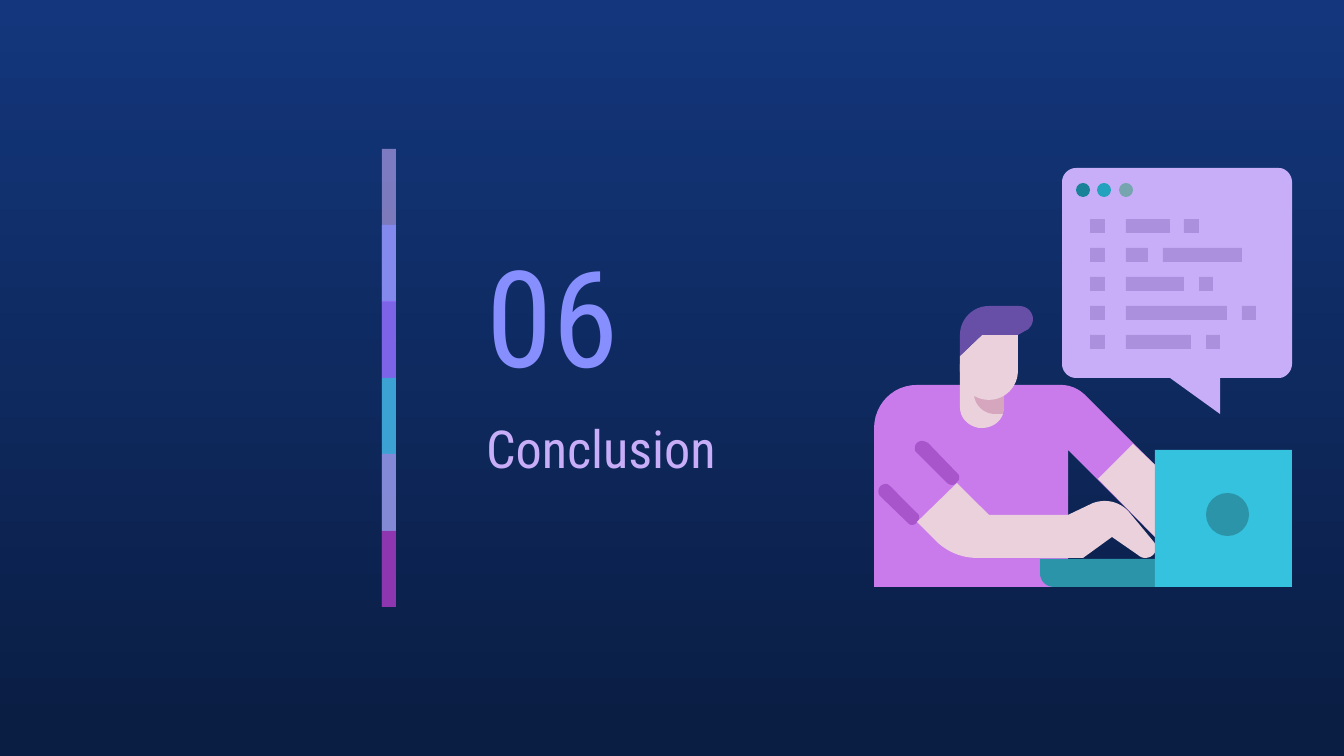
"""Build the closing section slide: number, title, colour bar and a coder at work."""
from lxml.etree import SubElement
from pptx import Presentation
from pptx.dml.color import RGBColor as RGB
from pptx.enum.shapes import MSO_SHAPE as Kind
from pptx.enum.text import MSO_ANCHOR as Anchor
from pptx.oxml.ns import qn
from pptx.util import Pt

PX = 914400 / 134.4
SKIN, SHIRT, FOLD, LILAC = "EAD1DC", "CA7BEB", "A855CB", "C8AEF8"


def paint(shape, color, alpha=100):
    shape.shadow.inherit = False
    shape.line.fill.background()
    shape.fill.solid()
    shape.fill.fore_color.rgb = RGB.from_string(color)
    if alpha < 100:
        node = shape.fill._xPr.find(".//" + qn("a:srgbClr"))
        SubElement(node, qn("a:alpha")).set("val", str(alpha * 1000))


def trace(shapes, steps, color):
    dots = [steps[0]]
    for step in steps[1:]:
        if len(step) == 2:
            dots.append(step)
            continue
        a, b, c, d = dots[-1], step[:2], step[2:4], step[4:]
        for t in [n / 12 for n in range(1, 13)]:
            u = 1 - t
            dots.append([u**3 * a[k] + 3 * u * u * t * b[k] + 3 * u * t * t * c[k] + t**3 * d[k]
                         for k in (0, 1)])
    dots = [(x * PX, y * PX) for x, y in dots]
    pen = shapes.build_freeform(*dots[0])
    pen.add_line_segments(dots[1:], close=True)
    paint(pen.convert_to_shape(), color)


deck = Presentation()
deck.slide_width, deck.slide_height = round(1344 * PX), round(756 * PX)
slide = deck.slides.add_slide(deck.slide_layouts[6])

back = slide.background.fill
back.gradient()
back.gradient_angle = 270
for stop, color, place in zip(back.gradient_stops, ("13367C", "0A1D42"), (0, 1)):
    stop.color.rgb = RGB.from_string(color)
    stop.position = place

texts = [
    ("06", (473, 223, 235, 181), 72, "878FFF", Anchor.MIDDLE),
    ("Conclusion", (473, 403, 386, 116), 28, LILAC, Anchor.TOP),
]
for words, area, size, color, anchor in texts:
    frame = slide.shapes.add_textbox(*[round(v * PX) for v in area]).text_frame
    inset = round(13 * PX)
    layout = {"word_wrap": True, "vertical_anchor": anchor, "margin_left": inset,
              "margin_right": inset, "margin_top": inset, "margin_bottom": inset}
    for key, value in layout.items():
        setattr(frame, key, value)
    run = frame.paragraphs[0].add_run()
    run.text = words
    for key, value in {"name": "Roboto Condensed", "size": Pt(size)}.items():
        setattr(run.font, key, value)
    run.font.color.rgb = RGB.from_string(color)

bar = slide.shapes.add_group_shape().shapes
bands = [(LILAC, 59), ("878FFF", 74), ("9154F8", 53), ("35C2DF", 76), (SHIRT, 56), ("972CB4", 74)]
for i, (color, alpha) in enumerate(bands):
    top = 149 + i * 382 // 5
    area = (382, top, 14, min(153, 607 - top))
    paint(bar.add_shape(Kind.RECTANGLE, *[round(v * PX) for v in area]), color, alpha)

art = slide.shapes.add_group_shape().shapes
body = [(917, 385), (893, 385, 874, 404, 874, 429), (874, 587), (1068, 587), (1068, 450),
        (1155, 537), (1155, 465), (1086, 396), (1079, 389, 1071, 385, 1060, 385)]
cuff = [(886, 484), (884, 484, 881, 485, 880, 487), (878, 489, 878, 494, 880, 496), (907, 522),
        (909, 524, 910, 525, 912, 525), (914, 525, 916, 524, 917, 522),
        (920, 520, 920, 515, 917, 513), (891, 487), (889, 485, 888, 484, 886, 484)]
crease = [(922, 441), (920, 441, 918, 442, 917, 443), (914, 446, 914, 451, 917, 453), (946, 482),
          (948, 484, 950, 485, 952, 485), (954, 485, 956, 484, 957, 482),
          (960, 480, 960, 475, 957, 473), (928, 443), (926, 442, 924, 441, 922, 441)]
base = [(1040, 559), (1040, 573), (1040, 581, 1046, 587, 1054, 587), (1155, 587), (1155, 559)]
neck = [(960, 364), (960, 407), (960, 418, 968, 426, 979, 428), (982, 428),
        (991, 428, 1000, 423, 1003, 414), (1003, 412, 1004, 409, 1004, 407), (1004, 364)]
shade = [(974, 364), (974, 393), (974, 405, 984, 414, 995, 414), (1003, 414),
         (1003, 412, 1004, 409, 1004, 407), (1004, 364)]
hand = [(957, 483), (917, 522), (936, 541), (947, 552, 962, 558, 977, 558), (1083, 558),
        (1112, 537), (1138, 555), (1140, 557, 1143, 558, 1145, 558),
        (1151, 558, 1156, 554, 1156, 548), (1156, 546, 1155, 543, 1153, 541), (1129, 512),
        (1123, 505, 1114, 501, 1105, 501), (1100, 501, 1095, 502, 1091, 504),
        (1068, 515), (989, 515)]
arm = [(1133, 444), (1098, 479), (1155, 537), (1155, 465)]
bubble = [(1076, 168), (1068, 168, 1062, 175, 1062, 182), (1062, 364),
          (1062, 371, 1068, 378, 1076, 378), (1170, 378), (1220, 414), (1220, 378), (1279, 378),
          (1286, 378, 1292, 371, 1292, 364), (1292, 182), (1292, 175, 1286, 168, 1279, 168)]
face = [(982, 335), (960, 356), (960, 371), (960, 387, 973, 400, 989, 400),
        (1005, 400, 1018, 387, 1018, 371), (1018, 335)]
hair = [(989, 306), (973, 306, 960, 319, 960, 335), (960, 356), (982, 335), (1018, 335),
        (1025, 331), (1030, 329, 1033, 324, 1033, 319), (1033, 312, 1027, 306, 1019, 306)]
parts = [(body, SHIRT), (cuff, FOLD), (crease, FOLD), (base, "2B94A9"), (neck, SKIN),
         (shade, "D5A6BD"), (hand, SKIN), (arm, SKIN), (bubble, LILAC), (face, SKIN),
         (hair, "674EA7")]
for steps, color in parts:
    trace(art, steps, color)

items = [(Kind.RECTANGLE, (1155, 450, 137, 137), "35C2DF"),
         (Kind.OVAL, (1206, 493, 43, 43), "2B94A9")]
rows = [[(1126, 44), (1184, 15)], [(1126, 22), (1163, 79)], [(1126, 58), (1199, 14)],
        [(1126, 101), (1242, 14)], [(1126, 65), (1206, 14)]]
for i, row in enumerate(rows):
    for left, width in [(1090, 15)] + row:
        items.append((Kind.RECTANGLE, (left, 219 + 29 * i, width, 14), "AB90DE"))
for i, color in enumerate(("198298", "22A2BC", "76A5AF")):
    items.append((Kind.OVAL, (1076 + 43 * i // 2, 183, 14, 14), color))
for kind, area, color in items:
    paint(art.add_shape(kind, *[round(v * PX) for v in area]), color)

deck.save("out.pptx")
